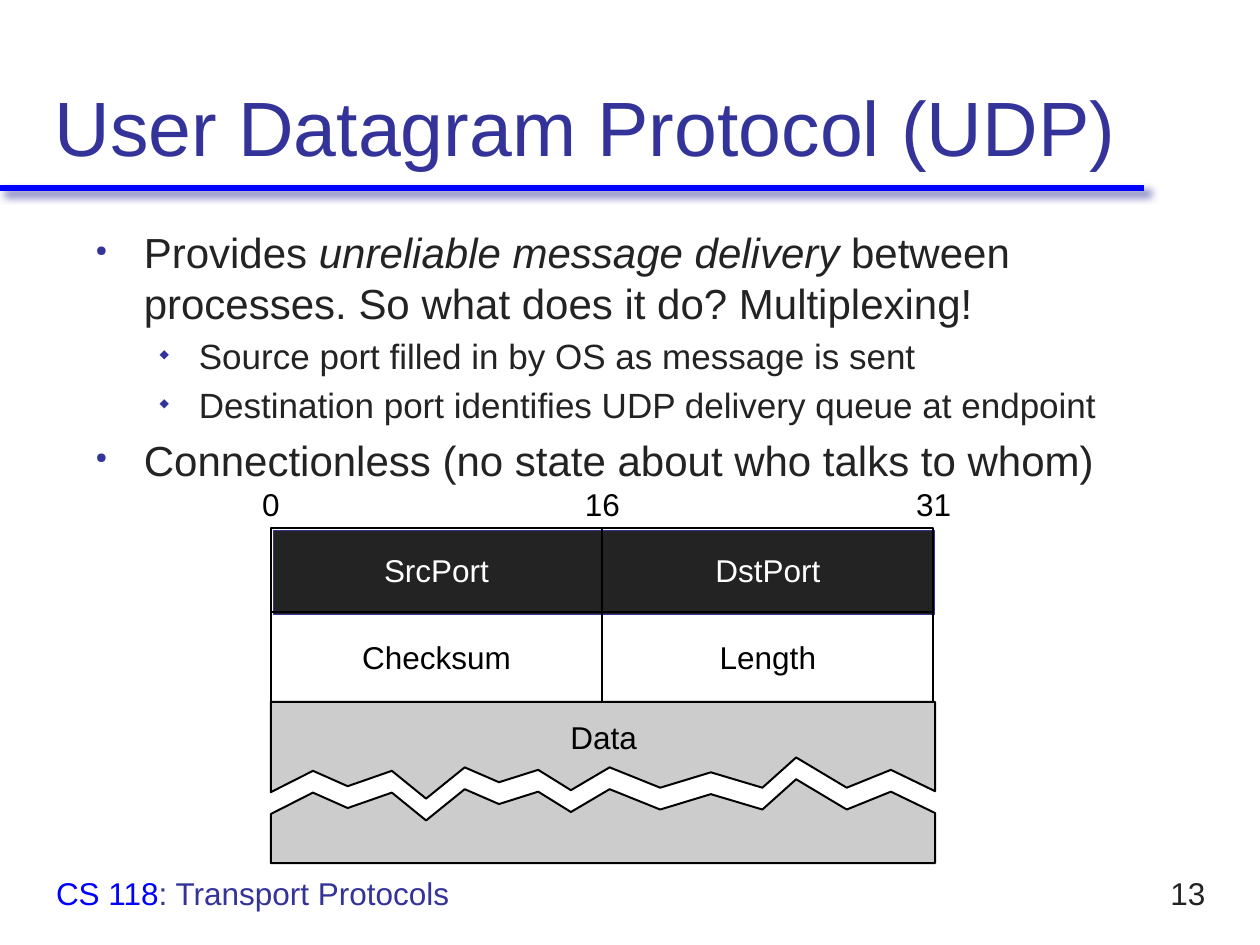
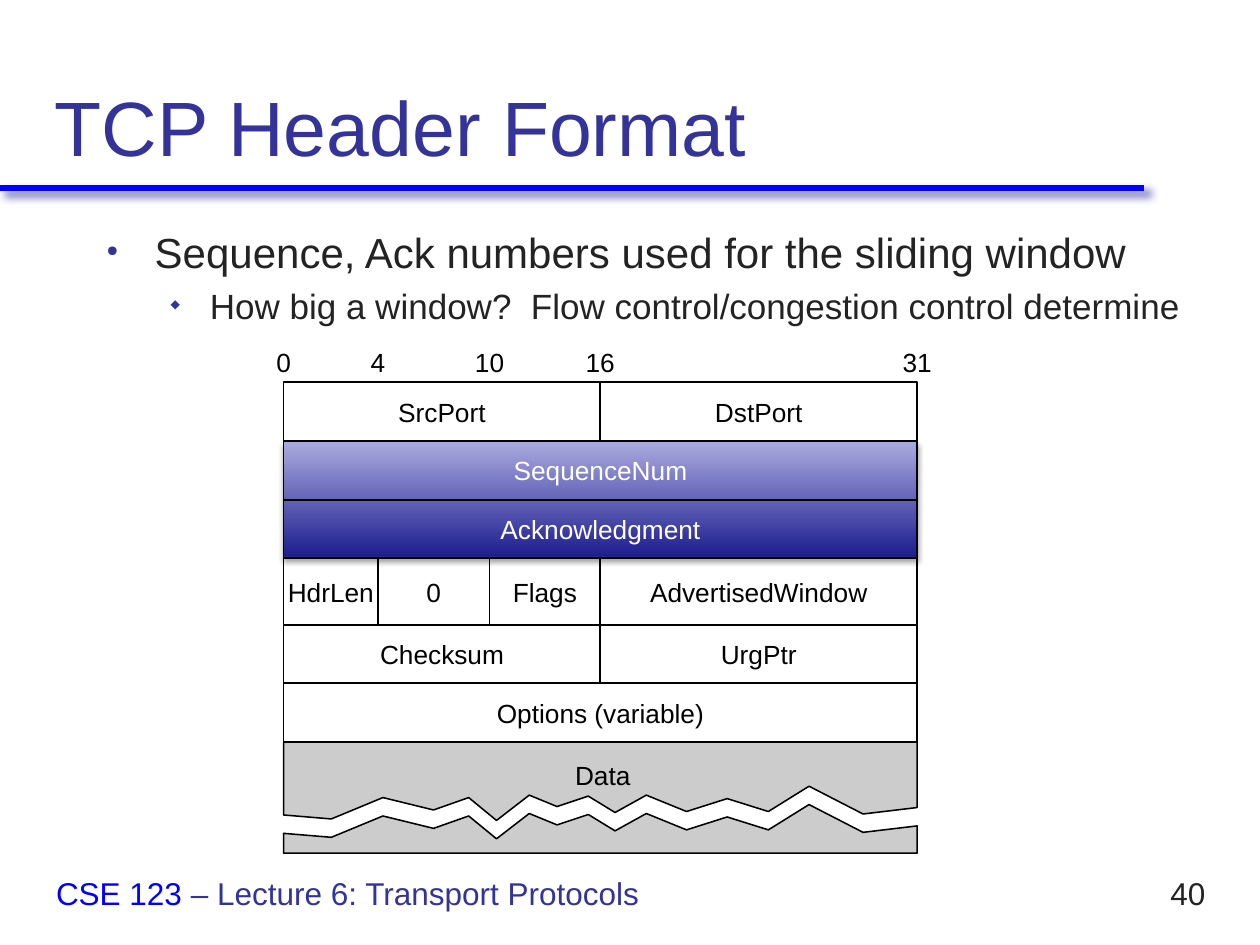
from lxml import etree
from pptx import Presentation
from pptx import util as u
from pptx.dml.color import RGBColor
from pptx.enum import shapes, text
from pptx.oxml import ns

FONT = "Arial"
INDIGO = RGBColor(0x33, 0x33, 0x99)
BLUE = RGBColor(0x00, 0x00, 0xFF)
CHARCOAL = RGBColor(0x23, 0x23, 0x23)
GREY = RGBColor(0xCC, 0xCC, 0xCC)
BLACK = RGBColor(0x00, 0x00, 0x00)
WHITE = RGBColor(0xFF, 0xFF, 0xFF)
GRADIENT_DARK = RGBColor(0x1D, 0x1D, 0x8F)
GRADIENT_LIGHT = RGBColor(0xAB, 0xAB, 0xE0)
GRADIENT_EDGE = RGBColor(0x27, 0x27, 0x81)

# bullet, text size, left indent and hanging indent in cm for each level
LEVELS = (("●", 24, 0.97, 0.97), ("◆", 20, 2.08, 0.79))

# torn edges of the data fields: points in cm from left to right
UDP_TEAR = [(5.46, 15.97), (6.31, 15.54), (7.01, 15.85), (7.9, 15.54), (8.59, 16.1),
            (9.37, 15.47), (10.06, 15.77), (10.85, 15.52), (11.51, 15.93),
            (12.29, 15.47), (13.31, 15.88), (14.33, 15.57), (15.37, 15.88),
            (16.05, 15.27), (17.07, 15.88), (17.96, 15.52), (18.85, 15.95)]
TCP_TEAR = [(5.72, 16.43), (6.68, 16.51), (7.72, 16.08), (8.74, 16.33), (9.45, 16.08),
            (10.01, 16.54), (10.67, 16.03), (11.23, 16.26), (11.86, 16.05),
            (12.4, 16.38), (13.03, 16.03), (13.84, 16.36), (14.66, 16.1),
            (15.49, 16.36), (16.31, 15.85), (17.4, 16.41), (18.49, 16.28)]


def add_element(parent, tag, **attributes):
    values = {name: str(value) for name, value in attributes.items()}
    return etree.SubElement(parent, ns.qn(tag), values)


def set_shadow(shape, color=None, alpha=0, blur=0, distance=0, angle=0):
    """Replace the theme shadow by the given one, or by none without a colour."""
    effects = add_element(shape._element.spPr, "a:effectLst")
    if color is not None:
        shadow = add_element(effects, "a:outerShdw", blurRad=u.Pt(blur),
                             dist=u.Pt(distance), dir=angle * 60000,
                             algn="ctr", rotWithShape=0)
        shade = add_element(shadow, "a:srgbClr", val=color)
        add_element(shade, "a:alpha", val=alpha * 1000)


def set_line(shape, color, weight):
    shape.line.color.rgb = color
    shape.line.width = u.Pt(weight)


def add_line(slide, start, end, color, weight):
    line = slide.shapes.add_connector(shapes.MSO_CONNECTOR.STRAIGHT,
                                      *map(u.Cm, start + end))
    set_line(line, color, weight)
    return line


def add_rectangle(slide, left, top, right, bottom, color, weight):
    rectangle = slide.shapes.add_shape(
        shapes.MSO_SHAPE.RECTANGLE,
        *map(u.Cm, (left, top, right - left, bottom - top)))
    set_line(rectangle, color, weight)
    return rectangle


def add_textbox(slide, left, top, width, height, anchor, inset=True, wrap=True):
    box = slide.shapes.add_textbox(*map(u.Cm, (left, top, width, height)))
    frame = box.text_frame
    frame.word_wrap = wrap
    frame.vertical_anchor = anchor
    if not inset:
        frame.margin_left = frame.margin_right = 0
        frame.margin_top = frame.margin_bottom = 0
    return frame


def add_run(paragraph, words, size, color, italic=False):
    run = paragraph.add_run()
    run.text = words
    run.font.name = FONT
    run.font.size = u.Pt(size)
    run.font.color.rgb = color
    run.font.italic = italic


def add_label(slide, words, x, y, size, color=BLACK):
    """Write one line of text centred on the point (x, y)."""
    width = u.Pt(size * (0.6 * len(words) + 0.3)).cm
    height = u.Pt(size * 1.2).cm
    frame = add_textbox(slide, x - width / 2, y - height / 2, width, height,
                        text.MSO_ANCHOR.MIDDLE, inset=False, wrap=False)
    paragraph = frame.paragraphs[0]
    paragraph.alignment = text.PP_ALIGN.CENTER
    add_run(paragraph, words, size, color)


def add_frame(presentation, title, course, lecture, number):
    """Add a slide with the title, the rule below it and the footer."""
    slide = presentation.slides.add_slide(presentation.slide_layouts[6])
    rule = add_line(slide, (0, 3.79), (23.07, 3.79), BLUE, 3.5)
    set_shadow(rule, INDIGO, alpha=75, blur=5, distance=4.2, angle=45)
    heading = add_textbox(slide, 0.85, 0.42, 23.7, 3.18, text.MSO_ANCHOR.BOTTOM)
    add_run(heading.paragraphs[0], title, 44, INDIGO)

    footer = add_textbox(slide, 0.88, 17.36, 14.82, 1.27, text.MSO_ANCHOR.MIDDLE)
    add_run(footer.paragraphs[0], course, 18, BLUE)
    add_run(footer.paragraphs[0], lecture, 18, INDIGO)
    page = add_textbox(slide, 22.86, 17.36, 1.69, 1.27, text.MSO_ANCHOR.MIDDLE)
    page.paragraphs[0].alignment = text.PP_ALIGN.RIGHT
    add_run(page.paragraphs[0], number, 18, CHARCOAL)
    return slide


def add_bullets(slide, left, width, items):
    """Each item is a level followed by (words, italic) runs."""
    frame = add_textbox(slide, left, 4.45, width, 12.28, text.MSO_ANCHOR.TOP)
    for index, (level, *runs) in enumerate(items):
        bullet, size, indent, hanging = LEVELS[level]
        paragraph = frame.add_paragraph() if index else frame.paragraphs[0]
        paragraph.level = level
        properties = paragraph._p.get_or_add_pPr()
        properties.set("marL", str(u.Cm(indent)))
        properties.set("indent", str(-u.Cm(hanging)))
        add_element(add_element(properties, "a:buClr"), "a:srgbClr", val=INDIGO)
        add_element(properties, "a:buSzPct", val=35000)
        add_element(properties, "a:buChar", char=bullet)
        if index:
            paragraph.space_before = u.Pt(size * 0.2)
        for words, italic in runs:
            add_run(paragraph, words, size, CHARCOAL, italic)


def add_polygon(slide, points, weight):
    start, *others = [(u.Cm(x), u.Cm(y)) for x, y in points]
    builder = slide.shapes.build_freeform(*start)
    builder.add_line_segments(others, close=True)
    polygon = builder.convert_to_shape()
    polygon.fill.solid()
    polygon.fill.fore_color.rgb = GREY
    set_line(polygon, BLACK, weight)
    set_shadow(polygon)


def add_torn_data(slide, tear, gap, top, bottom, weight):
    """Draw the data field as two parts, split along the tear."""
    left, right = tear[0][0], tear[-1][0]
    lower_tear = [(x, y + gap) for x, y in tear]
    add_polygon(slide, tear + [(right, top), (left, top)], weight)
    add_polygon(slide, lower_tear + [(right, bottom), (left, bottom)], weight)


def add_header(slide, edges, rows, size, weight):
    """Draw a grid of header fields.

    Edges maps bit numbers to x; each row is (top, bottom, color, fields),
    each field (name, first bit, last bit).
    """
    left, right = edges[0], edges[31]
    outline = add_rectangle(slide, left, rows[0][0], right, rows[-1][1], BLACK, weight)
    outline.fill.background()
    set_shadow(outline)
    for bit, x in edges.items():
        add_label(slide, str(bit), x, rows[0][0] - size * 0.027, size)
    for top, bottom, color, fields in rows:
        if top != rows[0][0]:
            set_shadow(add_line(slide, (left, top), (right, top), BLACK, weight))
        for name, first, last in fields:
            start, end = edges[first], edges[last]
            if first:
                set_shadow(add_line(slide, (start, top), (start, bottom),
                                    BLACK, weight))
            add_label(slide, name, (start + end) / 2, (top + bottom) / 2, size, color)


def build_udp_slide(presentation):
    slide = add_frame(presentation, "User Datagram Protocol (UDP)",
                      "CS 118", ": Transport Protocols", "13")
    add_bullets(slide, 1.68, 22.02, [
        (0, ("Provides ", False), ("unreliable message delivery", True),
         (" between processes. So what does it do? Multiplexing!", False)),
        (1, ("Source port filled in by OS as message is sent", False)),
        (1, ("Destination port identifies UDP delivery queue at endpoint", False)),
        (0, ("Connectionless (no state about who talks to whom)", False)),
    ])
    ports = add_rectangle(slide, 5.51, 10.69, 18.84, 12.39, INDIGO, 0.75)
    ports.fill.solid()
    ports.fill.fore_color.rgb = CHARCOAL
    set_shadow(ports)
    add_torn_data(slide, UDP_TEAR, 0.44, 14.15, 17.4, 1.13)
    add_label(slide, "Data", 12.17, 14.86, 18)
    add_header(slide, {0: 5.46, 16: 12.14, 31: 18.82}, [
        (10.64, 12.34, WHITE, [("SrcPort", 0, 16), ("DstPort", 16, 31)]),
        (12.34, 14.15, BLACK, [("Checksum", 0, 16), ("Length", 16, 31)]),
    ], 18, 1.13)


def build_tcp_slide(presentation):
    slide = add_frame(presentation, "TCP Header Format",
                      "CSE 123 ", "– Lecture 6: Transport Protocols", "40")
    add_bullets(slide, 1.9, 22.44, [
        (0, ("Sequence, Ack numbers used for the sliding window", False)),
        (1, ("How big a window?  Flow control/congestion control determine", False)),
    ])
    numbers = add_rectangle(slide, 5.72, 8.89, 18.49, 11.23, GRADIENT_EDGE, 0.75)
    numbers.fill.gradient()
    numbers.fill.gradient_angle = 90
    for stop, color in zip(numbers.fill.gradient_stops, (GRADIENT_DARK, GRADIENT_LIGHT)):
        stop.color.rgb = color
    set_shadow(numbers, BLACK, alpha=35, blur=3.1, distance=1.8, angle=90)
    add_torn_data(slide, TCP_TEAR, 0.37, 14.96, 17.2, 0.88)
    add_label(slide, "Data", 12.15, 15.62, 15)
    add_header(slide, {0: 5.72, 4: 7.62, 10: 9.87, 16: 12.1, 31: 18.49}, [
        (7.7, 8.89, BLACK, [("SrcPort", 0, 16), ("DstPort", 16, 31)]),
        (8.89, 10.08, WHITE, [("SequenceNum", 0, 31)]),
        (10.08, 11.25, WHITE, [("Acknowledgment", 0, 31)]),
        (11.25, 12.6, BLACK, [("HdrLen", 0, 4), ("0", 4, 10), ("Flags", 10, 16),
                              ("AdvertisedWindow", 16, 31)]),
        (12.6, 13.77, BLACK, [("Checksum", 0, 16), ("UrgPtr", 16, 31)]),
        (13.77, 14.96, BLACK, [("Options (variable)", 0, 31)]),
    ], 15, 0.88)


def main():
    presentation = Presentation()
    presentation.slide_width = u.Cm(25.4)
    presentation.slide_height = u.Cm(19.05)
    build_udp_slide(presentation)
    build_tcp_slide(presentation)
    presentation.save("out.pptx")


if __name__ == "__main__":
    main()
